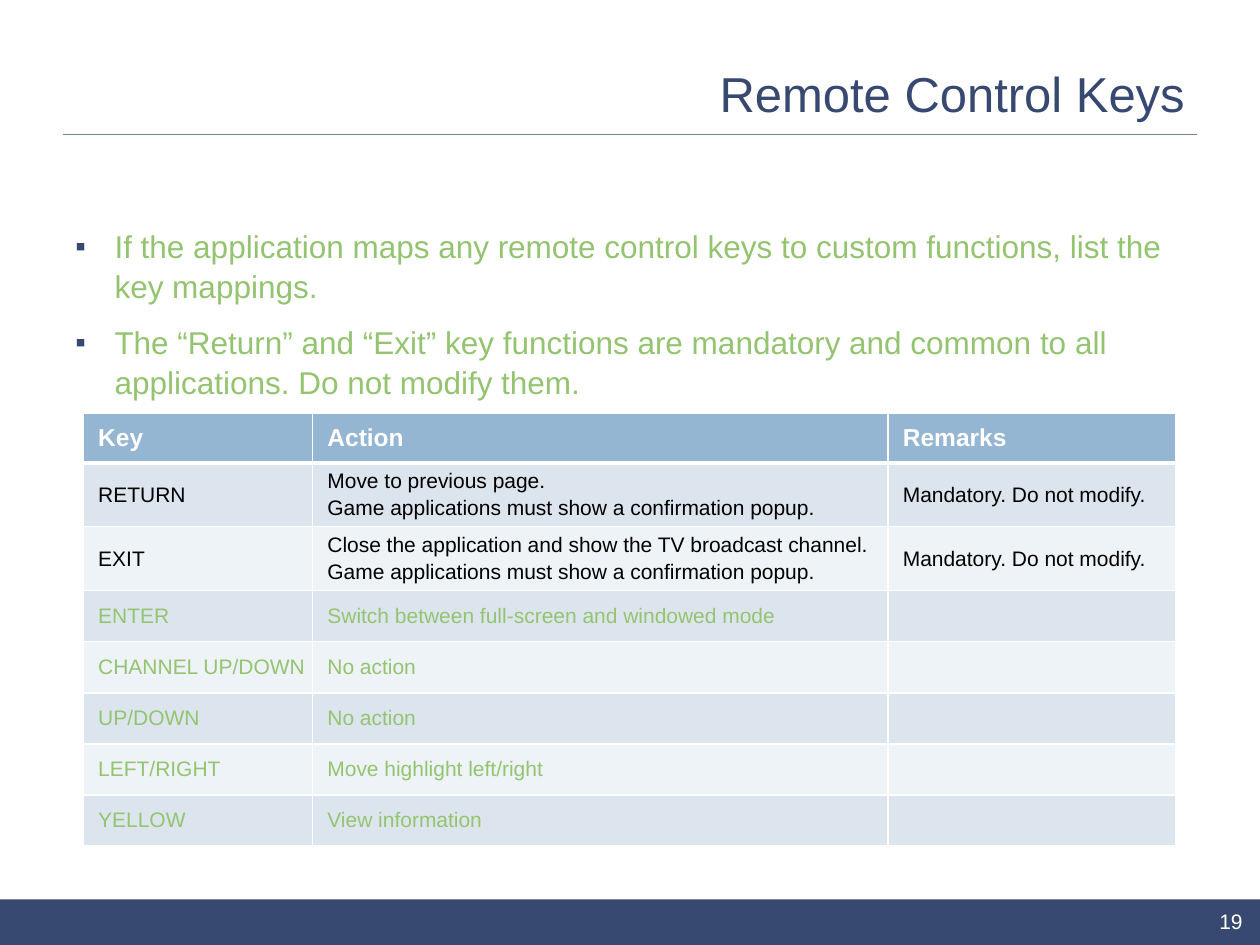
import pptx
import pptx.dml.color
import pptx.enum.shapes
import pptx.enum.text
import pptx.oxml
import pptx.oxml.ns
import pptx.util

Cm = pptx.util.Cm
Pt = pptx.util.Pt
RGBColor = pptx.dml.color.RGBColor
ALIGN = pptx.enum.text.PP_ALIGN
MIDDLE = pptx.enum.text.MSO_ANCHOR.MIDDLE

NAVY = RGBColor(0x37, 0x49, 0x71)
SLATE = RGBColor(0x6D, 0x87, 0x9C)
GREEN = RGBColor(0x94, 0xC4, 0x6F)
BLUE = RGBColor(0x94, 0xB6, 0xD2)
BAND_DARK = RGBColor(0xDC, 0xE5, 0xEE)
BAND_LIGHT = RGBColor(0xEE, 0xF3, 0xF7)
WHITE = RGBColor(0xFF, 0xFF, 0xFF)
BLACK = RGBColor(0, 0, 0)


def add_xml(parent, xml):
    parent.append(pptx.oxml.parse_xml(xml.replace(" ", f" {pptx.oxml.ns.nsdecls('a')} ", 1)))


def write(tf, text, size=12, color=BLACK, bold=False, align=ALIGN.LEFT,
          before=0, after=0, spacing=1.0, bullet=False):
    for i, line in enumerate(text.split("\n")):
        p = tf.add_paragraph() if i else tf.paragraphs[0]
        if bullet:
            pPr = p._p.get_or_add_pPr()
            pPr.set("marL", str(Cm(0.79)))
            pPr.set("indent", str(-Cm(0.79)))
            add_xml(pPr, f'<a:buClr ><a:srgbClr val="{NAVY}"/></a:buClr>')
            add_xml(pPr, '<a:buSzPct val="95000"/>')
            add_xml(pPr, '<a:buFont typeface="Arial"/>')
            add_xml(pPr, '<a:buChar char="▪"/>')
        p.alignment = align
        p.line_spacing = spacing
        p.space_before = Pt(before if i else 0)
        p.space_after = Pt(after)
        p.font.size = Pt(size)
        if line:
            r = p.add_run()
            r.text = line
            r.font.name = "Arial"
            r.font.size = Pt(size)
            r.font.bold = bold
            r.font.color.rgb = color


prs = pptx.Presentation()
prs.slide_width = Cm(25.4)
prs.slide_height = Cm(19.05)
s = prs.slides.add_slide(prs.slide_layouts[6])

sp = s.shapes.add_shape(pptx.enum.shapes.MSO_SHAPE.RECTANGLE, 0, Cm(18.13), Cm(25.4), Cm(0.92))
sp.shadow.inherit = False
sp.fill.solid()
sp.fill.fore_color.rgb = NAVY
sp.line.fill.background()

sp = s.shapes.add_connector(pptx.enum.shapes.MSO_CONNECTOR.STRAIGHT,
                            Cm(1.27), Cm(2.71), Cm(24.13), Cm(2.71))
sp.line.color.rgb = SLATE
sp.line.width = Pt(1)
add_xml(sp._element.spPr, "<a:effectLst />")

bullets = (
    "If the application maps any remote control keys to custom functions, list the key mappings.\n"
    "The “Return” and “Exit” key functions are mandatory and common to all applications. "
    "Do not modify them."
)
boxes = [
    ((5.89, 1.02, 18.24, 1.7), "Remote Control Keys", MIDDLE,
     dict(size=28, color=NAVY, align=ALIGN.RIGHT)),
    ((19.58, 18.31, 5.72, 0.53), "19", MIDDLE, dict(color=WHITE, align=ALIGN.RIGHT)),
    ((1.27, 4.42, 22.86, 12.19), bullets, pptx.enum.text.MSO_ANCHOR.TOP,
     dict(size=18, color=GREEN, before=3.6, after=6, spacing=1.05, bullet=True)),
]
for box, text, anchor, style in boxes:
    tf = s.shapes.add_textbox(*map(Cm, box)).text_frame
    tf.word_wrap = True
    tf.vertical_anchor = anchor
    write(tf, text, **style)

popup = "Game applications must show a confirmation popup."
fixed = "Mandatory. Do not modify."
rows = [
    ("Key", "Action", "Remarks"),
    ("RETURN", f"Move to previous page.\n{popup}", fixed),
    ("EXIT", f"Close the application and show the TV broadcast channel.\n{popup}", fixed),
    ("ENTER", "Switch between full-screen and windowed mode", ""),
    ("CHANNEL UP/DOWN", "No action", ""),
    ("UP/DOWN", "No action", ""),
    ("LEFT/RIGHT", "Move highlight left/right", ""),
    ("YELLOW", "View information", ""),
]
widths = [4.62, 11.6, 5.81]
heights = [1.0] + [1.24] * 2 + [1.03] * 5
table = s.shapes.add_table(len(rows), len(widths), Cm(1.68), Cm(8.33),
                           Cm(sum(widths)), Cm(sum(heights))).table
for column, width in zip(table.columns, widths):
    column.width = Cm(width)

for i, row in enumerate(rows):
    table.rows[i].height = Cm(heights[i])
    header = i == 0
    for j, text in enumerate(row):
        cell = table.cell(i, j)
        cell.vertical_anchor = MIDDLE
        cell.margin_left = Cm(0.3)
        cell.margin_right = Cm(0.25 if header else 0.1)
        cell.margin_top = cell.margin_bottom = Cm(0.13 if header else 0.1)
        for side in "LRTB":
            thick = (i, side) in ((0, "B"), (1, "T"))
            add_xml(cell._tc.get_or_add_tcPr(),
                    f'<a:ln{side} w="{Pt(3 if thick else 1)}"><a:solidFill>'
                    f'<a:srgbClr val="{WHITE}"/></a:solidFill></a:ln{side}>')
        cell.fill.solid()
        cell.fill.fore_color.rgb = BLUE if header else BAND_DARK if i % 2 else BAND_LIGHT
        write(cell.text_frame, text, size=14 if header else 12, bold=header, before=2,
              color=WHITE if header else BLACK if i < 3 else GREEN)

prs.save("out.pptx")
